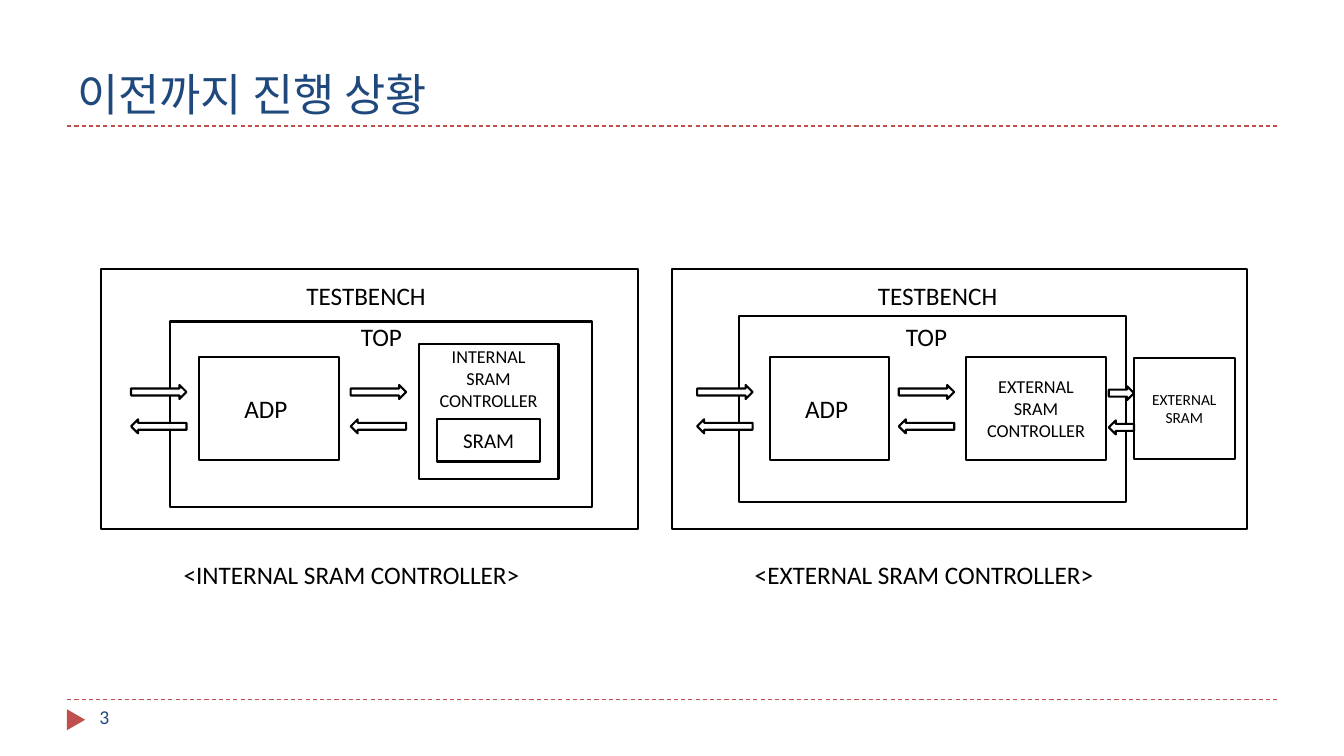
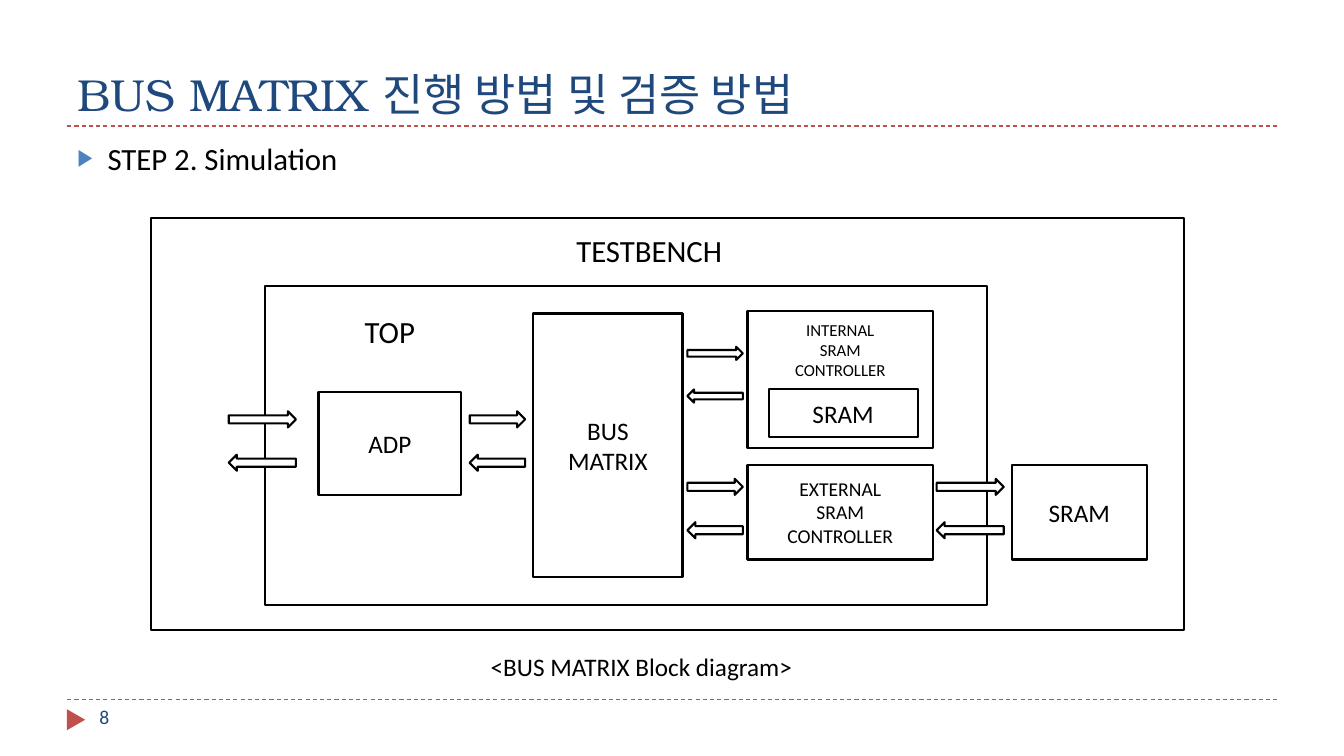
from lxml import etree
from pptx import Presentation
from pptx.dml.color import RGBColor
from pptx.enum.dml import MSO_LINE
from pptx.enum.shapes import MSO_CONNECTOR, MSO_SHAPE
from pptx.enum.text import MSO_ANCHOR, PP_ALIGN
from pptx.oxml.ns import qn
from pptx.util import Pt

RECT = MSO_SHAPE.RECTANGLE
TRIANGLE = MSO_SHAPE.ISOSCELES_TRIANGLE
RIGHT, LEFT = MSO_SHAPE.RIGHT_ARROW, MSO_SHAPE.LEFT_ARROW
STRAIGHT = MSO_CONNECTOR.STRAIGHT
DASH = MSO_LINE.DASH
TOP, MIDDLE, BOTTOM = MSO_ANCHOR.TOP, MSO_ANCHOR.MIDDLE, MSO_ANCHOR.BOTTOM

COLORS = {"title": "1F497D", "accent": "C0504D", "bullet": "4F81BD",
          "ink": "000000", "paper": "FFFFFF"}
TITLE_FONT, TEXT_FONT = "TeX Gyre Bonum", "Calibri"
TITLE_LAYOUT, CONTENT_LAYOUT = 5, 1
RULE_LEFT, RULE_RIGHT = 48, 912
RULE_YS = (90, 500)

INTERNAL = ("INTERNAL", "SRAM", "CONTROLLER")
EXTERNAL = ("EXTERNAL", "SRAM", "CONTROLLER")

# boxes: (left, top, width, height), lines, size, top inset (None centres the text)
# arrow pairs: left, top, width, height, distance between the two arrows
# labels: left, top, width, height, text, size
SLIDES = [
    {
        "title": "이전까지 진행 상황", "number": "3", "steps": [],
        "boxes": [
            ((72, 192, 384, 186), (), 18, None),
            ((121.7, 229.7, 301, 132.5), (), 18, None),
            ((142, 255, 100, 73.5), ("ADP ",), 18, None),
            ((299, 245.5, 100, 96.5), INTERNAL, 13, 1.5),
            ((312, 299.5, 74, 30.2), ("SRAM",), 15, None),
            ((480, 192, 410.5, 186), (), 18, None),
            ((528, 226, 276, 132.5), (), 18, None),
            ((550, 255, 85, 73.5), ("ADP ",), 18, None),
            ((690, 255, 100, 73.5), EXTERNAL, 13, None),
            ((810, 255.5, 72, 72.7), ("EXTERNAL", "SRAM"), 11, None),
        ],
        "arrow_pairs": [
            (93.6, 275, 39.6, 10, 24.5),
            (250.5, 275, 39.6, 10, 24.5),
            (498, 275, 39.6, 10, 24.5),
            (642, 275, 39.6, 10, 24.5),
            (792, 275.8, 18, 10, 24.5),
        ],
        "labels": [
            (211.7, 196.6, 148, 29, "TESTBENCH", 18),
            (250.6, 226, 74, 29, "TOP", 18),
            (620, 196.6, 148, 29, "TESTBENCH", 18),
            (640, 226, 74, 29, "TOP", 18),
            (124, 396, 314, 29, "<INTERNAL SRAM CONTROLLER>", 18),
            (532, 396, 314, 29, "<EXTERNAL SRAM CONTROLLER>", 18),
        ],
    },
    {
        "title": "BUS MATRIX 진행 방법 및 검증 방법", "number": "8",
        "steps": ["STEP 2. Simulation"],
        "boxes": [
            ((108, 156, 738, 294), (), 18, None),
            ((189, 204, 516, 228), (), 18, None),
            ((227.5, 280, 102, 73.5), ("ADP",), 18, None),
            ((381, 224, 106.5, 188), ("BUS", "MATRIX"), 18, None),
            ((534, 222, 132.5, 98), INTERNAL, 12, 6),
            ((549, 278, 106.5, 34), ("SRAM",), 18, None),
            ((534, 332, 132.5, 67.7), EXTERNAL, 14, None),
            ((723, 332, 96, 67.7), ("SRAM",), 18, None),
        ],
        "arrow_pairs": [
            (163.4, 293.8, 48, 11.5, 31),
            (335.5, 293.8, 39.6, 11.5, 31),
            (491, 247.7, 39.6, 9.4, 30.5),
            (491, 342, 39.6, 11.5, 31),
            (669, 342, 48, 11.5, 31),
        ],
        "labels": [
            (404.6, 162, 196, 34, "TESTBENCH", 22),
            (253.4, 219.6, 71, 34, "TOP", 22),
            (343.4, 461.5, 336, 29, "<BUS MATRIX Block diagram>", 18),
        ],
    },
]


def rgb(name):
    return RGBColor.from_string(COLORS[name])


def points(*lengths):
    return [Pt(length) for length in lengths]


def write(frame, lines, size, color="ink", font=TEXT_FONT, align=PP_ALIGN.LEFT):
    frame.word_wrap = True
    for index, line in enumerate(lines):
        paragraph = frame.paragraphs[0] if index == 0 else frame.add_paragraph()
        paragraph.alignment = align
        run = paragraph.add_run()
        run.text = line
        run.font.size = Pt(size)
        run.font.name = font
        run.font.color.rgb = rgb(color)


def add_label(slide, left, top, width, height, text, size, color="ink"):
    label = slide.shapes.add_textbox(*points(left, top, width, height))
    write(label.text_frame, [text], size, color)


def add_outlined(slide, kind, *box):
    shape = slide.shapes.add_shape(kind, *points(*box))
    shape.shadow.inherit = False
    shape.fill.solid()
    shape.fill.fore_color.rgb = rgb("paper")
    shape.line.color.rgb = rgb("ink")
    shape.line.width = Pt(1.5)
    return shape


def add_block(slide, box, lines, size, top_inset):
    frame = add_outlined(slide, RECT, *box).text_frame
    frame.vertical_anchor = MIDDLE
    if top_inset is not None:
        frame.vertical_anchor = TOP
        frame.margin_top = Pt(top_inset)
    write(frame, lines, size, align=PP_ALIGN.CENTER)


def add_arrow_pair(slide, left, top, width, height, distance):
    for row, direction in enumerate((RIGHT, LEFT)):
        add_outlined(slide, direction, left, top + row * distance, width, height)


def place(placeholder, *box):
    placeholder.left, placeholder.top, placeholder.width, placeholder.height = points(*box)
    return placeholder.text_frame


def add_bullet(paragraph):
    paragraph.space_before = Pt(6)
    properties = paragraph._p.get_or_add_pPr()
    properties.set("marL", str(Pt(21.6)))
    properties.set("indent", str(-Pt(21.6)))
    color = etree.SubElement(properties, qn("a:buClr"))
    etree.SubElement(color, qn("a:srgbClr"), val=COLORS["bullet"])
    etree.SubElement(properties, qn("a:buSzPct"), val="76000")
    etree.SubElement(properties, qn("a:buFont"), typeface="Arial")
    etree.SubElement(properties, qn("a:buChar"), char="▶")


def add_frame(slide, title, number):
    """Add the title, dashed rules and page marker that every slide has."""
    for y in RULE_YS:
        rule = slide.shapes.add_connector(STRAIGHT, *points(RULE_LEFT, y, RULE_RIGHT, y))
        rule.line.color.rgb = rgb("accent")
        rule.line.width = Pt(0.75)
        rule.line.dash_style = DASH
        etree.SubElement(rule._element.spPr, qn("a:effectLst"))
    marker = slide.shapes.add_shape(TRIANGLE, *points(46.8, 507.6, 15, 13))
    marker.rotation = 90
    marker.shadow.inherit = False
    marker.fill.solid()
    marker.fill.fore_color.rgb = rgb("accent")
    marker.line.fill.background()
    heading = place(slide.shapes.title, RULE_LEFT, 12, RULE_RIGHT - RULE_LEFT, 78)
    heading.vertical_anchor = BOTTOM
    write(heading, [title], 32, "title", TITLE_FONT)
    add_label(slide, 64, 500, 208, 29, number, 14, "title")


def build_slide(deck, content):
    steps = content["steps"]
    layout = CONTENT_LAYOUT if steps else TITLE_LAYOUT
    slide = deck.slides.add_slide(deck.slide_layouts[layout])
    add_frame(slide, content["title"], content["number"])
    if steps:
        body = place(slide.placeholders[1], RULE_LEFT, 96, RULE_RIGHT - RULE_LEFT, 389)
        write(body, steps, 22)
        for paragraph in body.paragraphs:
            add_bullet(paragraph)
    for block in content["boxes"]:
        add_block(slide, *block)
    for pair in content["arrow_pairs"]:
        add_arrow_pair(slide, *pair)
    for label in content["labels"]:
        add_label(slide, *label)


def main():
    deck = Presentation()
    deck.slide_width, deck.slide_height = points(960, 540)
    for content in SLIDES:
        build_slide(deck, content)
    deck.save("out.pptx")


if __name__ == "__main__":
    main()
